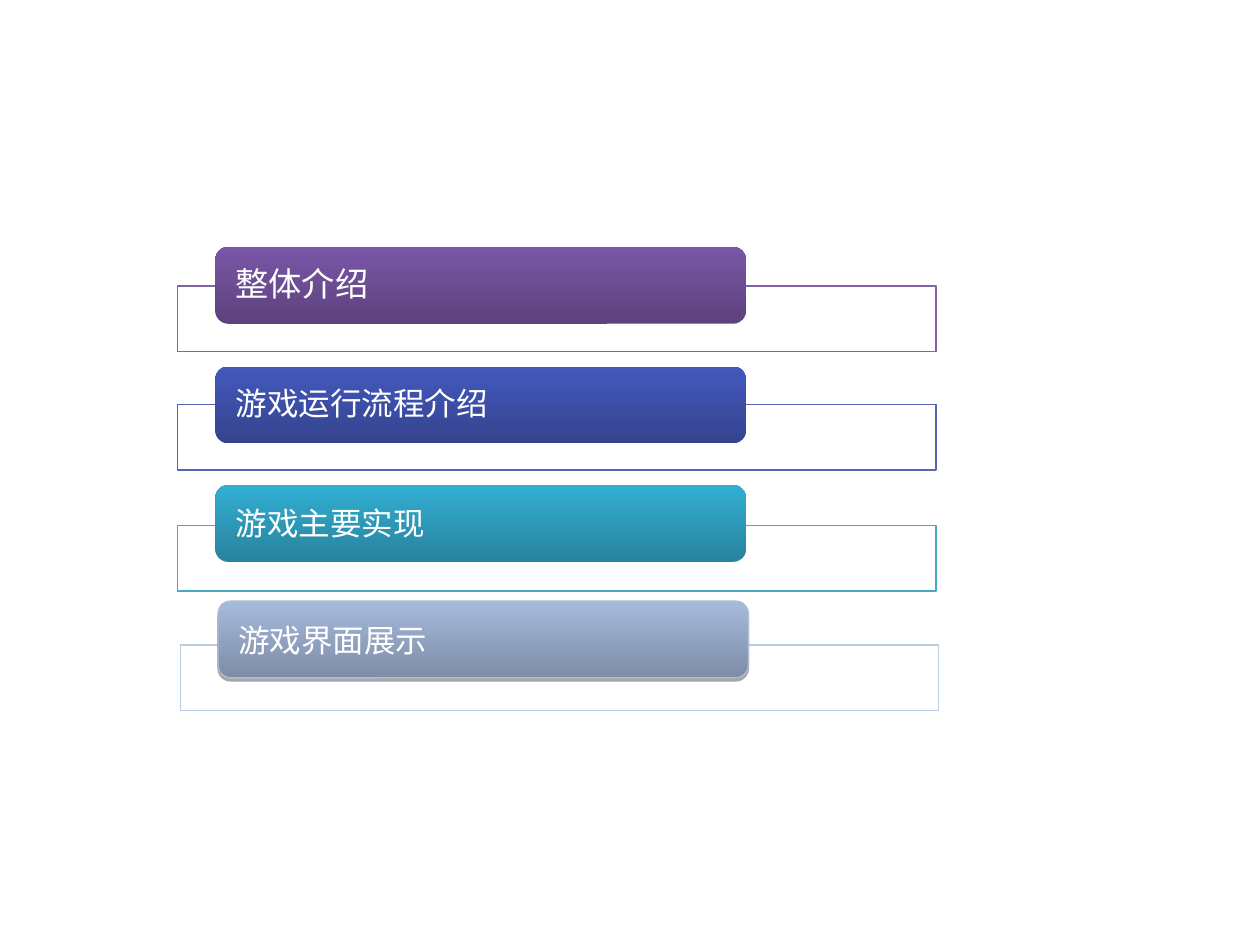
from dataclasses import dataclass

from lxml.etree import SubElement
from pptx import Presentation
from pptx.dml.color import RGBColor
from pptx.enum.shapes import MSO_SHAPE as Shape
from pptx.enum.text import MSO_ANCHOR as Anchor, PP_ALIGN as Align
from pptx.oxml.ns import qn
from pptx.util import Inches, Pt


@dataclass(frozen=True)
class Theme:
    white: str = "FFFFFF"
    black: str = "000000"
    frame_opacity: int = 89
    shadow_opacity: int = 35
    line_width: float = 0.75
    line_spacing: float = 0.9
    space_after: float = 8


@dataclass(frozen=True)
class Section:
    title: str
    left: float
    frame_top: float
    bar_top: float
    frame_line: str
    dark: str
    light: str
    size: int = 18
    font: str = "Arial"
    text_drop: float = 0
    bar_line: str = ""


SECTIONS = [
    Section("整体介绍", 1.41, 2.27, 1.96, "8064A2", "5D427D", "7A56A7",
            size=19, font="DejaVu Sans"),
    Section("游戏运行流程介绍", 1.41, 3.21, 2.91, "5666B3", "34448E", "4358BD"),
    Section("游戏主要实现", 1.41, 4.17, 3.85, "4AA8C4", "28839D", "32AED2",
            text_drop=0.01),
    Section("游戏界面展示", 1.43, 5.12, 4.77, "B9CDE5", "7E8DA7", "A6BADC",
            text_drop=0.02, bar_line="ADBCD7"),
]
FRAME_SIZE = (6.02, 0.52)
BAR_SIZE = (4.21, 0.61)
BAR_INDENT = 0.3


def rgb(color):
    return RGBColor.from_string(color)


def add_alpha(color_element, percent):
    SubElement(color_element, qn("a:alpha"), val=str(percent * 1000))


class AgendaSlide:
    def __init__(self, presentation, theme):
        self.theme = theme
        self.slide = presentation.slides.add_slide(presentation.slide_layouts[6])

    def shape(self, kind, left, top, size, line=""):
        shape = self.slide.shapes.add_shape(
            kind, Inches(left), Inches(top), *map(Inches, size))
        shape.shadow.inherit = False
        if line:
            shape.line.color.rgb = rgb(line)
            shape.line.width = Pt(self.theme.line_width)
        else:
            shape.line.fill.background()
        return shape

    def frame(self, section):
        frame = self.shape(Shape.RECTANGLE, section.left, section.frame_top,
                           FRAME_SIZE, section.frame_line)
        frame.fill.solid()
        frame.fill.fore_color.rgb = rgb(self.theme.white)
        fill_color = frame._element.spPr.find(qn("a:solidFill"))[0]
        add_alpha(fill_color, self.theme.frame_opacity)

    def bar(self, section):
        bar = self.shape(Shape.ROUNDED_RECTANGLE, section.left + BAR_INDENT,
                         section.bar_top, BAR_SIZE, section.bar_line)
        bar.fill.gradient()
        bar.fill.gradient_angle = 90
        for stop, color in zip(bar.fill.gradient_stops, (section.dark, section.light)):
            stop.color.rgb = rgb(color)
        if section.bar_line:
            self.drop_shadow(bar)
        self.title(bar, section)

    def drop_shadow(self, shape):
        effects = shape._element.spPr.find(qn("a:effectLst"))
        shadow = SubElement(effects, qn("a:outerShdw"), blurRad="0",
                            dist=str(Pt(1.8)), dir="5400000", rotWithShape="0")
        color = SubElement(shadow, qn("a:srgbClr"), val=self.theme.black)
        add_alpha(color, self.theme.shadow_opacity)

    def title(self, bar, section):
        frame = bar.text_frame
        frame.word_wrap = True
        frame.vertical_anchor = Anchor.MIDDLE
        # The rounded corners add 0.03 inch of their own to the side margins.
        frame.margin_left = frame.margin_right = Inches(0.13)
        frame.margin_top = Inches(2 * section.text_drop)
        frame.margin_bottom = 0
        paragraph = frame.paragraphs[0]
        paragraph.text = section.title
        paragraph.alignment = Align.LEFT
        paragraph.line_spacing = self.theme.line_spacing
        paragraph.space_after = Pt(self.theme.space_after)
        paragraph.font.size = Pt(section.size)
        paragraph.font.name = section.font
        paragraph.font.color.rgb = rgb(self.theme.white)


def main():
    presentation = Presentation()
    presentation.slide_width = Inches(10)
    presentation.slide_height = Inches(7.5)
    agenda = AgendaSlide(presentation, Theme())
    for section in SECTIONS:
        agenda.frame(section)
        agenda.bar(section)
    presentation.save("out.pptx")


if __name__ == "__main__":
    main()
